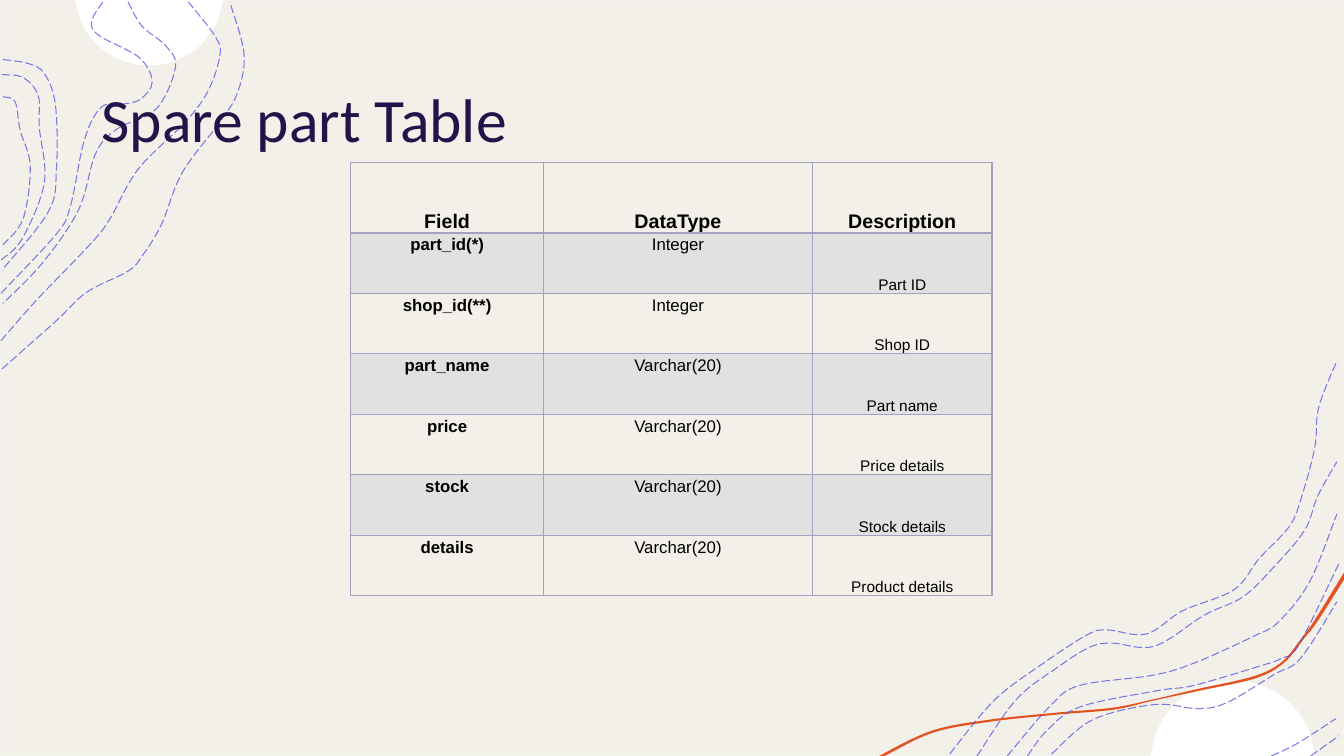
from math import asin, cos, pi, sin

from lxml import etree
from pptx import Presentation
from pptx.dml.color import RGBColor
from pptx.enum.dml import MSO_LINE
from pptx.enum.shapes import MSO_SHAPE as Preset
from pptx.enum.text import MSO_ANCHOR as Anchor, PP_ALIGN as Align
from pptx.oxml.ns import qn
from pptx.util import Emu, Pt

PX = 9144
SLIDE_W, SLIDE_H = 1333, 750

CREAM = RGBColor(0xF3, 0xF0, 0xE9)
EDGE_GRAY = RGBColor(0xF2, 0xF2, 0xF2)
WHITE = RGBColor(0xFF, 0xFF, 0xFF)
BLACK = RGBColor(0x00, 0x00, 0x00)
ORANGE = RGBColor(0xE4, 0x52, 0x21)
VIOLET = RGBColor(0x4D, 0x4E, 0xE6)
LAVENDER = RGBColor(0xA3, 0xA3, 0xC1)
NAVY = RGBColor(0x20, 0x14, 0x49)

TOP_LEFT_CONTOURS = [
    [(2, 366), (55, 319), (86, 290), (127, 269), (141, 254), (160, 223),
     (181, 171), (219, 120), (236, 91), (242, 53), (228, 2)],
    [(1, 338), (38, 296), (88, 244), (108, 219), (137, 168), (183, 122),
     (206, 91), (218, 56), (214, 37), (187, 2)],
    [(127, 2), (141, 26), (165, 46), (174, 67), (155, 108), (116, 128),
     (95, 152), (78, 208), (42, 261), (3, 301)],
    [(1, 291), (56, 232), (70, 204), (84, 138), (101, 106), (124, 103),
     (140, 98), (151, 81), (138, 57), (98, 35), (91, 21), (102, 2)],
    [(3, 59), (28, 63), (44, 73), (55, 104), (56, 168), (48, 210), (2, 268)],
    [(2, 74), (23, 77), (38, 95), (39, 126), (44, 181), (22, 237), (1, 258)],
    [(3, 96), (15, 101), (20, 129), (30, 165), (23, 217), (3, 243)],
]

BOTTOM_RIGHT_CONTOURS = [
    [(942, 748), (986, 695), (1032, 660), (1078, 630), (1098, 625), (1137, 629),
     (1173, 606), (1224, 585), (1249, 554), (1279, 522), (1291, 493),
     (1304, 444), (1308, 404), (1326, 358)],
    [(969, 750), (1008, 694), (1049, 662), (1081, 642), (1103, 638), (1145, 641),
     (1195, 610), (1233, 592), (1263, 563), (1294, 526), (1307, 492), (1326, 458)],
    [(1300, 750), (1328, 730)],
    [(1261, 750), (1286, 738), (1325, 713)],
    [(1043, 748), (1084, 714), (1145, 699), (1188, 703), (1217, 697),
     (1264, 669), (1290, 653), (1326, 597)],
    [(1019, 750), (1039, 724), (1072, 701), (1149, 685), (1184, 680),
     (1252, 660), (1271, 653), (1288, 640), (1328, 559)],
    [(999, 750), (1042, 700), (1071, 680), (1143, 670), (1184, 658),
     (1244, 631), (1268, 617), (1299, 577), (1326, 510)],
]

RIBBON = [(1333, 575), (1307, 616), (1293, 634), (1273, 658), (1245, 673),
          (1191, 685), (1144, 695), (1105, 704), (1048, 709), (982, 716),
          (925, 727), (877, 750), (872, 750), (924, 725), (981, 714),
          (1048, 707), (1104, 702), (1143, 694), (1190, 683), (1243, 671),
          (1271, 657), (1291, 633), (1304, 615), (1333, 568)]

HEADERS = ["Field", "DataType", "Description"]
FIELDS = [
    ["part_id(*)", "Integer", "Part ID"],
    ["shop_id(**)", "Integer", "Shop ID"],
    ["part_name", "Varchar(20)", "Part name"],
    ["price", "Varchar(20)", "Price details"],
    ["stock", "Varchar(20)", "Stock details"],
    ["details", "Varchar(20)", "Product details"],
]
COLUMN_WIDTHS = [191, 267, 178]
COLUMN_SIZES = [12, 12, 11]
HEADER_HEIGHT, ROW_HEIGHT = 70, 60


def px(length):
    return Emu(round(length * PX))


def set_alpha(parent, percent):
    color = next(parent.iter(qn("a:srgbClr")))
    etree.SubElement(color, qn("a:alpha")).set("val", str(percent * 1000))


def bend_segments(outline):
    ends = [(int(pt.get("x")), int(pt.get("y")))
            for pt in outline._element.iter(qn("a:pt"))]
    padded = [ends[0], *ends, ends[-1]]
    segments = list(outline._element.iter(qn("a:lnTo")))
    for segment, a, b, c, d in zip(segments, padded, padded[1:], padded[2:], padded[3:]):
        curve = etree.Element(qn("a:cubicBezTo"))
        leaving = [q + (r - p) / 6 for p, q, r in zip(a, b, c)]
        arriving = [r - (s - q) / 6 for q, r, s in zip(b, c, d)]
        for x, y in (leaving, arriving, c):
            etree.SubElement(curve, qn("a:pt"), x=str(round(x)), y=str(round(y)))
        segment.getparent().replace(segment, curve)


def draw_curve(shapes, points, close):
    start, *rest = [(px(x), px(y)) for x, y in points]
    builder = shapes.build_freeform(*start, scale=1.0)
    builder.add_line_segments(rest, close=close)
    outline = builder.convert_to_shape()
    outline.shadow.inherit = False
    bend_segments(outline)
    return outline


def add_area(shapes, points, color):
    area = draw_curve(shapes, points, True)
    area.fill.solid()
    area.fill.fore_color.rgb = color
    area.line.fill.background()


def add_edge_disc(shapes, center_x, edge_y, overhang, radius, facing):
    first = asin(overhang / radius)
    angles = [first + (pi - 2 * first) * step / 8 for step in range(9)]
    add_area(shapes, [(center_x + radius * cos(angle),
                       edge_y + facing * (radius * sin(angle) - overhang))
                      for angle in angles], WHITE)


def add_contours(shapes, contours):
    group = shapes.add_group_shape()
    for anchors in contours:
        contour = draw_curve(group.shapes, anchors, False)
        contour.fill.background()
        contour.line.color.rgb = VIOLET
        contour.line.width = Pt(0.75)
        contour.line.dash_style = MSO_LINE.LONG_DASH
        set_alpha(contour.line._ln, 75)


def add_backdrop(shapes):
    backdrop = shapes.add_shape(Preset.RECTANGLE, 0, 0, px(SLIDE_W), px(SLIDE_H))
    backdrop.shadow.inherit = False
    backdrop.fill.solid()
    backdrop.fill.fore_color.rgb = CREAM
    backdrop.line.color.rgb = EDGE_GRAY
    backdrop.line.width = Pt(1)


def set_borders(cell, top, bottom):
    props = cell._tc.get_or_add_tcPr()
    for position, (side, width) in enumerate(
            [("lnL", 1), ("lnR", 1), ("lnT", top), ("lnB", bottom)]):
        border = etree.Element(qn(f"a:{side}"), w=str(Pt(width)))
        fill = etree.SubElement(border, qn("a:solidFill"))
        etree.SubElement(fill, qn("a:srgbClr"), val=str(LAVENDER))
        props.insert(position, border)


def fill_cell(cell, text, size, bold, anchor, shaded):
    cell.margin_left = cell.margin_right = px(7)
    cell.margin_top = cell.margin_bottom = 0
    cell.vertical_anchor = anchor
    cell.text = text
    line = cell.text_frame.paragraphs[0]
    line.alignment, line.line_spacing, line.space_after = Align.CENTER, 1.15, Pt(10)
    line.font.name, line.font.size, line.font.bold = "Arial", Pt(size), bold
    line.font.color.rgb = BLACK
    if shaded:
        cell.fill.solid()
        cell.fill.fore_color.rgb = LAVENDER
        set_alpha(cell._tc.tcPr, 20)
    else:
        cell.fill.background()


def add_field_table(shapes, left, top):
    height = HEADER_HEIGHT + ROW_HEIGHT * len(FIELDS)
    table = shapes.add_table(len(FIELDS) + 1, len(HEADERS), px(left), px(top),
                             px(sum(COLUMN_WIDTHS)), px(height)).table
    table.first_row = table.horz_banding = False
    for column, width in zip(table.columns, COLUMN_WIDTHS):
        column.width = px(width)
    for r, texts in enumerate([HEADERS, *FIELDS]):
        header = r == 0
        table.rows[r].height = px(HEADER_HEIGHT if header else ROW_HEIGHT)
        for c, text in enumerate(texts):
            fill_cell(table.cell(r, c), text, 14 if header else COLUMN_SIZES[c],
                      header or c == 0,
                      Anchor.BOTTOM if header or c == 2 else Anchor.TOP, r % 2 == 1)
            set_borders(table.cell(r, c), 2 if r == 1 else 1, 2 if header else 1)


def add_title(shapes, text):
    frame = shapes.add_textbox(px(91), px(75), px(1150), px(145)).text_frame
    frame.word_wrap = True
    frame.text = text
    font = frame.paragraphs[0].font
    font.name, font.size, font.color.rgb = "Calibri", Pt(44), NAVY


def main():
    deck = Presentation()
    deck.slide_width, deck.slide_height = px(SLIDE_W), px(SLIDE_H)
    shapes = deck.slides.add_slide(deck.slide_layouts[6]).shapes
    add_backdrop(shapes)
    add_edge_disc(shapes, 148, 0, 9, 74, 1)
    add_edge_disc(shapes, 1223, SLIDE_H, 7, 82, -1)
    add_area(shapes, RIBBON, ORANGE)
    add_contours(shapes, TOP_LEFT_CONTOURS)
    add_contours(shapes, BOTTOM_RIGHT_CONTOURS)
    add_field_table(shapes, 348, 161)
    add_title(shapes, "Spare part Table")
    deck.save("out.pptx")


if __name__ == "__main__":
    main()
